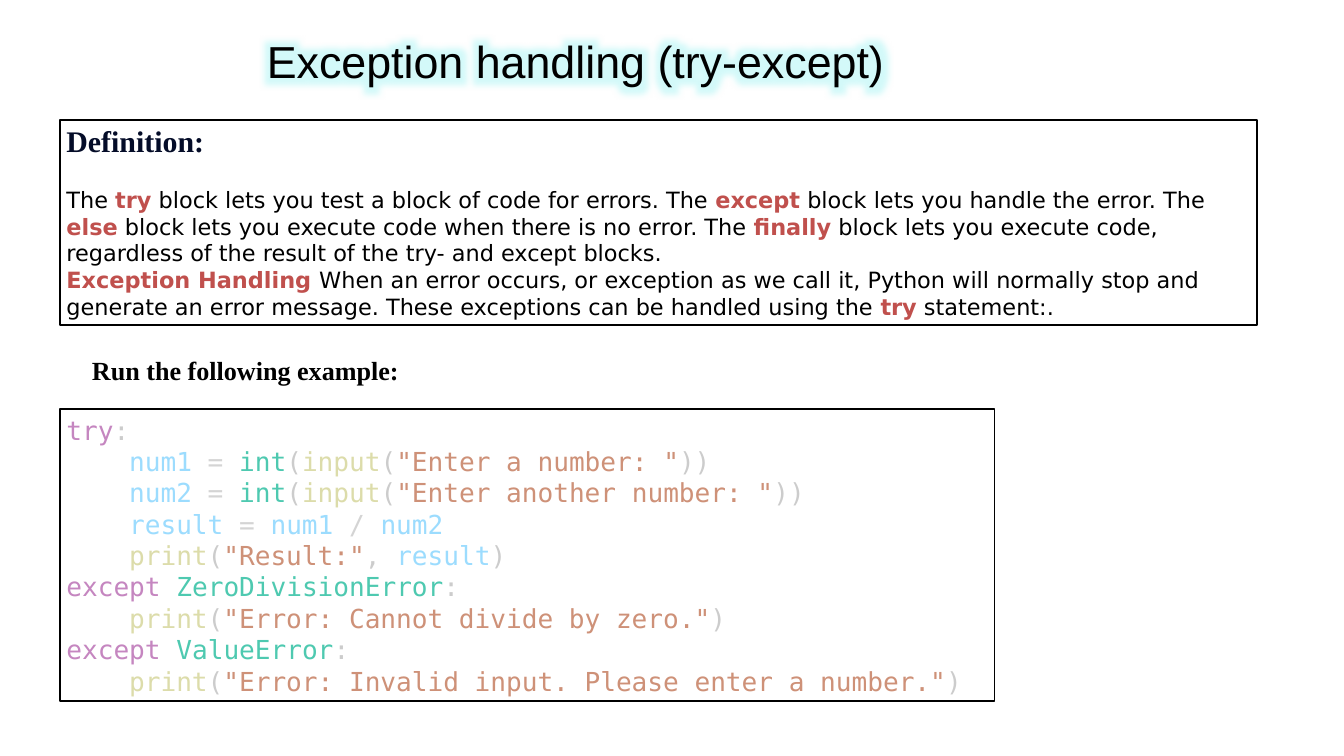
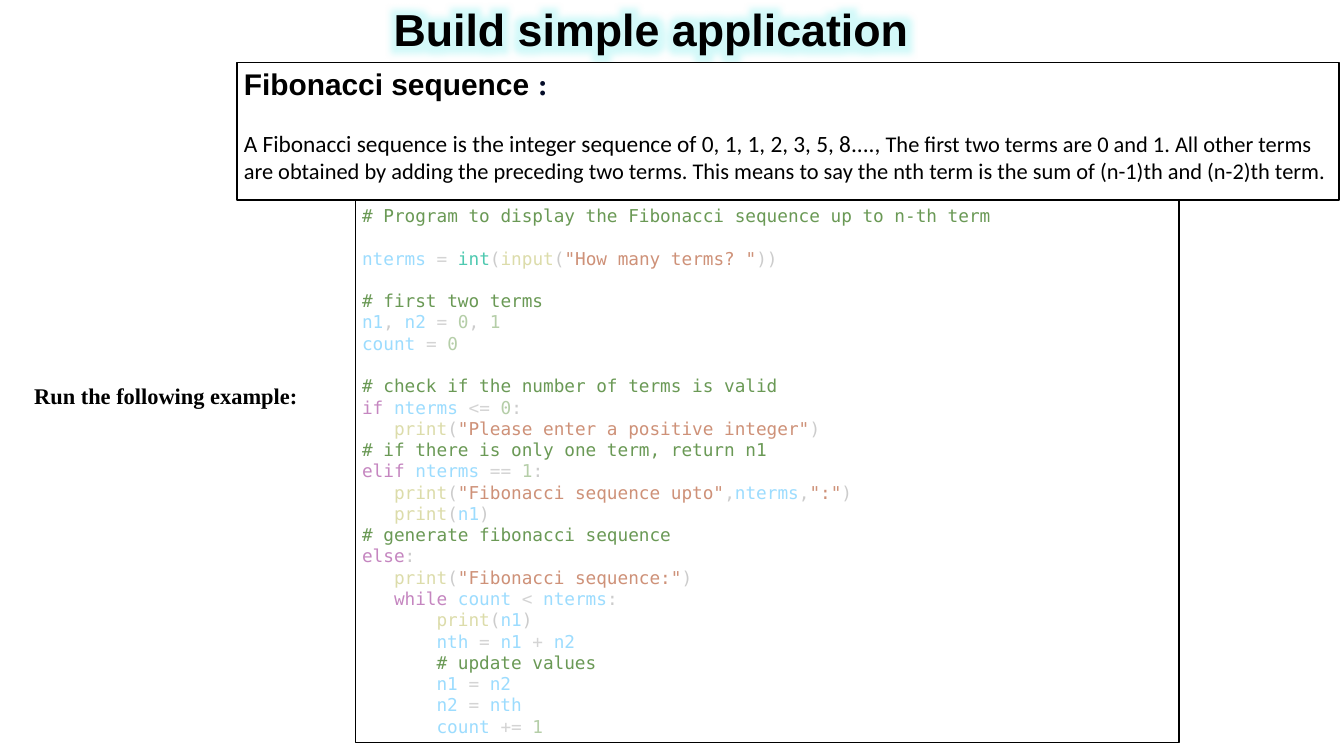
from itertools import groupby

from lxml.etree import SubElement
from pptx import Presentation
from pptx.dml.color import RGBColor
from pptx.enum.shapes import MSO_SHAPE
from pptx.enum.text import MSO_ANCHOR, MSO_AUTO_SIZE, PP_ALIGN
from pptx.oxml.ns import qn
from pptx.util import Inches, Pt

COLORS = {
    "paper": "FFFFFF", "ink": "000000", "navy": "040C28", "accent": "C0504D",
    "glow": "93F2F2", "keyword": "C586C0", "variable": "9CDCFE",
    "type": "4EC9B0", "function": "DCDCAA", "string": "CE9178",
    "number": "B5CEA8", "comment": "6A9955", "operator": "D4D4D4",
    "punctuation": "CCCCCC",
}
STYLES = {
    "title": ("Arial", 48, "ink", False),
    "bold title": ("Arial", 48, "ink", True),
    "heading": ("Times New Roman", 32, "navy", True),
    "arial heading": ("Arial", 32, "ink", True),
    "body": ("DejaVu Sans", 24, "ink", False),
    "term": ("DejaVu Sans", 24, "accent", True),
    "calibri": ("Calibri", 24, "ink", False),
    "large calibri": ("Calibri", 25, "ink", False),
    "label": ("Times New Roman", 28, "ink", True),
    "small label": ("Times New Roman", 24, "ink", True),
}
WORDS = {
    "keyword": ("try", "except", "if", "elif", "else", "while"),
    "type": ("int", "ZeroDivisionError", "ValueError"),
    "function": ("input", "print"),
}
CODE_FONT, CHAR_WIDTH, LINE_HEIGHT = "DejaVu Sans Mono", 0.6, 1.2
HEADING_GAP = 29
TITLE_LEFT, TITLE_WIDTH, TITLE_INDENT = 3.53, 11.88, 0.44
LABEL = "Run the following example:"

DIVISION_CODE = '''try:
    num1 = int(input("Enter a number: "))
    num2 = int(input("Enter another number: "))
    result = num1 / num2
    print("Result:", result)
except ZeroDivisionError:
    print("Error: Cannot divide by zero.")
except ValueError:
    print("Error: Invalid input. Please enter a number.")'''

FIBONACCI_CODE = '''# Program to display the Fibonacci sequence up to n-th term

nterms = int(input("How many terms? "))

# first two terms
n1, n2 = 0, 1
count = 0

# check if the number of terms is valid
if nterms <= 0:
   print("Please enter a positive integer")
# if there is only one term, return n1
elif nterms == 1:
   print("Fibonacci sequence upto",nterms,":")
   print(n1)
# generate fibonacci sequence
else:
   print("Fibonacci sequence:")
   while count < nterms:
       print(n1)
       nth = n1 + n2
       # update values
       n1 = n2
       n2 = nth
       count += 1'''

SLIDES = [
    {
        "title": ("Exception handling (try-except)", "title", PP_ALIGN.LEFT, 0.59, 0.81),
        "code": (DIVISION_CODE, 28, (0.89, 6.09, 13.91, 4.34)),
        "definition": ([
            [("heading", "Definition:")],
            [("body", "The "), ("term", "try"),
             ("body", " block lets you test a block of code for errors. The "),
             ("term", "except"),
             ("body", " block lets you handle the error. The "),
             ("term", "else"),
             ("body", " block lets you execute code when there is no error. The "),
             ("term", "finally"),
             ("body", " block lets you execute code, regardless of the result "
                      "of the try- and except blocks.")],
            [("term", "Exception Handling "),
             ("body", "When an error occurs, or exception as we call it, Python "
                      "will normally stop and generate an error message. These "
                      "exceptions can be handled using the "),
             ("term", "try"), ("body", " statement:.")],
        ], (0.89, 1.78, 17.82, 3.06)),
        "label": ("label", (1.27, 5.22, 10, 0.57)),
    },
    {
        "title": ("Build simple application", "bold title", PP_ALIGN.CENTER, 0.12, 1.62),
        "code": (FIBONACCI_CODE, 19, (5.29, 2.96, 12.25, 8.09)),
        "definition": ([
            [("arial heading", "Fibonacci sequence "), ("heading", ":")],
            [("large calibri", "A Fibonacci sequence is the integer sequence of "
                               "0, 1, 1, 2, 3, 5, 8...., "),
             ("calibri", "The first two terms are 0 and 1. All other terms are "
                         "obtained by adding the preceding two terms. This means "
                         "to say the nth term is the sum of (n-1)th and (n-2)th term.")],
        ], (3.53, 0.93, 16.39, 2.05)),
        "label": ("small label", (0.41, 5.64, 10, 0.5)),
    },
]


def rgb(name):
    return RGBColor.from_string(COLORS[name])


def apply_style(font, style):
    font.name, size, color, font.bold = STYLES[style]
    font.size = Pt(size)
    font.color.rgb = rgb(color)


def char_kind(ch):
    if ch.isalnum() or ch == "_":
        return "word"
    if ch == " ":
        return "space"
    return "operator" if ch in "=<>+/" else "punctuation"


def word_kind(word):
    if word.isdigit():
        return "number"
    return next((kind for kind, words in WORDS.items() if word in words), "variable")


def tokenize(line):
    if line.startswith("#"):
        return [("comment", line)]
    tokens = []
    for i, part in enumerate(line.split('"')):
        if i % 2:
            tokens.append(("string", f'"{part}"'))
            continue
        for kind, chars in groupby(part, char_kind):
            text = "".join(chars)
            if kind == "space":
                last_kind, last_text = tokens.pop()
                tokens.append((last_kind, last_text + text))
            else:
                tokens.append((word_kind(text) if kind == "word" else kind, text))
    return tokens


def next_paragraph(tf, first):
    return tf.paragraphs[0] if first else tf.add_paragraph()


def add_box(s, at, anchor):
    sp = s.shapes.add_shape(MSO_SHAPE.RECTANGLE, *map(Inches, at))
    sp.shadow.inherit = False
    sp.fill.solid()
    sp.fill.fore_color.rgb = rgb("paper")
    sp.line.color.rgb = rgb("ink")
    sp.line.width = Pt(2)
    tf = sp.text_frame
    tf.word_wrap = True
    tf.vertical_anchor = anchor
    return tf


def add_title(s, text, style, align, top, height):
    sp = s.shapes.title
    sp.left, sp.top, sp.width, sp.height = map(
        Inches, (TITLE_LEFT, top, TITLE_WIDTH, height))
    tf = sp.text_frame
    tf.margin_left = tf.margin_top = tf.margin_right = tf.margin_bottom = 0
    tf.auto_size = MSO_AUTO_SIZE.NONE
    tf.vertical_anchor = MSO_ANCHOR.TOP
    p = tf.paragraphs[0]
    p.alignment = align
    p.line_spacing = 0.9
    p.space_after = Pt(6)
    pPr = p._p.get_or_add_pPr()
    pPr.set("marL", str(Inches(TITLE_INDENT)))
    pPr.set("indent", "0")
    r = p.add_run()
    r.text = text
    apply_style(r.font, style)
    rPr = r._r.get_or_add_rPr()
    effects = SubElement(rPr, qn("a:effectLst"))
    rPr.find(qn("a:solidFill")).addnext(effects)
    glow = SubElement(effects, qn("a:glow"), rad=str(Pt(30)))
    color = SubElement(glow, qn("a:srgbClr"), val=COLORS["glow"])
    SubElement(color, qn("a:alpha"), val="40000")


def add_code(s, code, size, at):
    tf = add_box(s, at, MSO_ANCHOR.MIDDLE)
    gap = 0
    for i, line in enumerate(code.split("\n")):
        text = line.lstrip()
        if not text:
            gap = size * LINE_HEIGHT
            continue
        p = next_paragraph(tf, i == 0)
        p.alignment = PP_ALIGN.LEFT
        p.space_before = Pt(gap)
        p.font.name = CODE_FONT
        p.font.size = Pt(size)
        indent = (len(line) - len(text)) * size * CHAR_WIDTH
        p._p.get_or_add_pPr().set("marL", str(Pt(indent)))
        gap = 0
        for kind, token in tokenize(text):
            r = p.add_run()
            r.text = token
            r.font.color.rgb = rgb(kind)


def add_definition(s, paragraphs, at):
    tf = add_box(s, at, MSO_ANCHOR.TOP)
    for i, runs in enumerate(paragraphs):
        p = next_paragraph(tf, i == 0)
        p.alignment = PP_ALIGN.LEFT
        if i == 1:
            p.space_before = Pt(HEADING_GAP)
        for style, text in runs:
            r = p.add_run()
            r.text = text
            apply_style(r.font, style)


def add_label(s, style, at):
    tf = s.shapes.add_textbox(*map(Inches, at)).text_frame
    tf.word_wrap = True
    p = tf.paragraphs[0]
    p.text = LABEL
    apply_style(p.font, style)


def main():
    prs = Presentation()
    prs.slide_width, prs.slide_height = Inches(20), Inches(11.25)
    for content in SLIDES:
        s = prs.slides.add_slide(prs.slide_layouts[5])
        add_title(s, *content["title"])
        add_code(s, *content["code"])
        add_definition(s, *content["definition"])
        add_label(s, *content["label"])
    prs.save("out.pptx")


if __name__ == "__main__":
    main()
